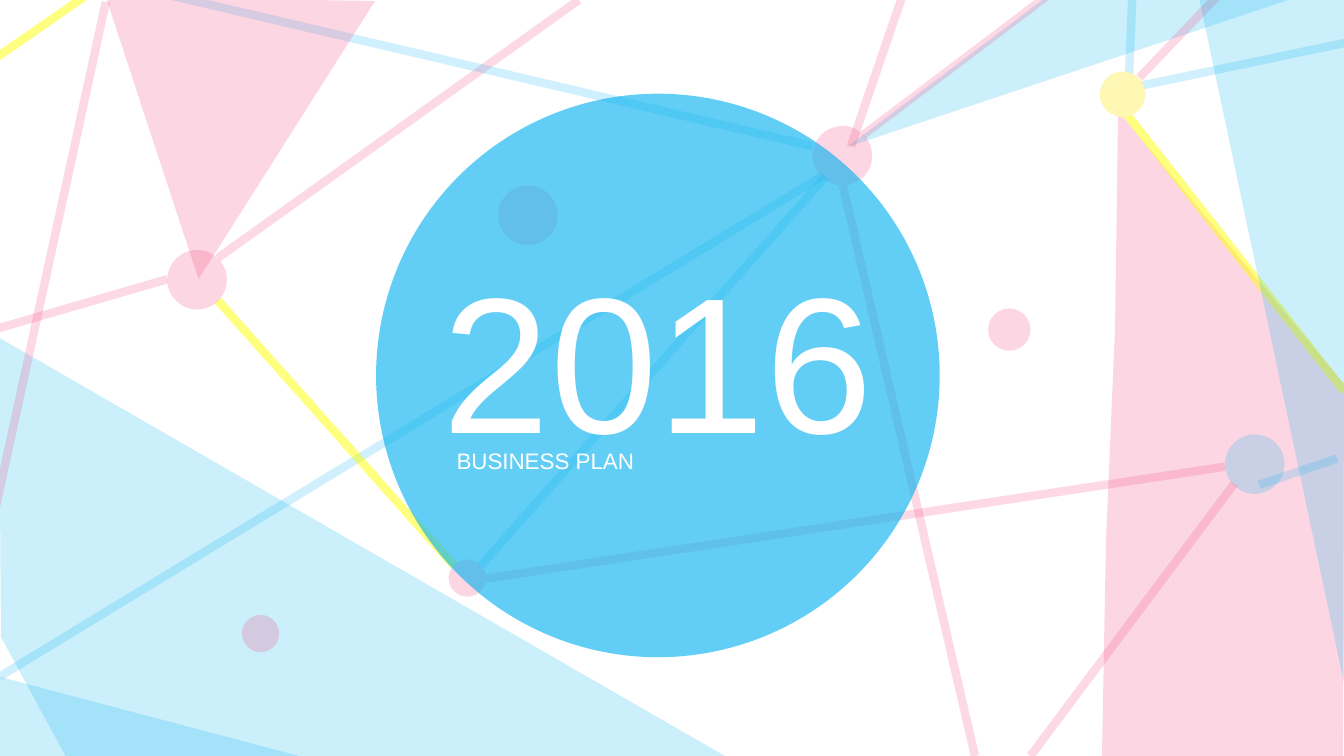
import collections

import lxml.etree
import pptx
import pptx.dml.color
import pptx.enum.shapes
import pptx.enum.text
import pptx.oxml.ns
import pptx.util

Inches = pptx.util.Inches
Box = collections.namedtuple("Box", "left top width height")

COLORS = {"pink": "F43A74", "blue": "00B0F0", "yellow": "FFFF00",
          "cream": "FFF8B4", "white": "FFFFFF"}
TINT = 20  # opacity of facets and nodes, percent
LINE_OPACITY = {"pink": 18, "blue": 18, "yellow": 50}
FONT = "Arial"

# Facets: colour and corner points
BACK_FACETS = [
    ("pink", [(10.93, 7.5), (10.97, 5.36), (11.06, 3.24), (11.09, 1.1),
              (13.33, 3.81), (13.32, 7.52)]),
    ("blue", [(12.99, -0.07), (8.4, 1.46), (10.46, -0.09)]),
    ("blue", [(0.01, 6.32), (-0.01, 3.35), (7.19, 7.5), (0.65, 7.5)]),
]
FRONT_FACETS = [
    ("pink", [(1.05, -0.03), (3.72, 0.01), (1.97, 2.77)]),
    ("blue", [(13.37, 6.96), (11.88, -0.08), (13.38, -0.04)]),
    ("blue", [(-0.01, 7.51), (-0.02, 6.71), (3.08, 7.53)]),
]

# Nodes: colour, left, top, diameter, opacity
BACK_NODES = [
    ("pink", 8.06, 1.25, 0.59, TINT),
    ("pink", 9.8, 3.06, 0.42, TINT),
    ("blue", 12.15, 4.31, 0.59, TINT),
    ("pink", 2.4, 6.1, 0.37, TINT),
    ("pink", 4.45, 5.55, 0.37, TINT),
    ("pink", 4.94, 1.84, 0.59, TINT),
]
FRONT_NODES = [
    ("pink", 1.66, 2.48, 0.59, TINT),
    ("cream", 10.91, 0.71, 0.45, 100),
]

# Links: colour, start x, start y, end x, end y
BACK_LINKS = [
    ("blue", 0, 6.71, 8.15, 1.75),
    ("pink", 2.16, 2.56, 5.74, 0),
    ("pink", -0.06, 3.27, 1.66, 2.77),
    ("pink", 1.05, 0.02, -0.17, 5.62),
    ("yellow", 2.16, 2.98, 4.5, 5.61),
    ("blue", 8.19, 1.75, 4.77, 5.61),
    ("blue", 1.2, -0.16, 8.06, 1.45),
    ("pink", 4.82, 5.74, 12.15, 4.63),
    ("pink", 9.67, 7.5, 8.36, 1.84),
    ("pink", 10.22, 7.5, 12.24, 4.8),
    ("yellow", 13.33, 3.88, 11.11, 1.05),
    ("pink", 8.56, 1.34, 10.53, -0.15),
    ("pink", 8.44, 1.45, 8.96, -0.07),
    ("yellow", 0.89, -0.07, -0.15, 0.65),
    ("blue", 11.24, -0.25, 11.19, 0.94),
    ("blue", 13.51, 0.39, 11.03, 0.91),
    ("pink", 12.19, -0.16, 11.3, 0.77),
]
FRONT_LINKS = [("blue", 13.26, 4.55, 12.49, 4.81)]


def rgb(name):
    return pptx.dml.color.RGBColor.from_string(COLORS[name])


def set_opacity(element, percent):
    """Add an alpha value to the solid colour inside the element."""
    color = element.find(".//" + pptx.oxml.ns.qn("a:srgbClr"))
    alpha = lxml.etree.SubElement(color, pptx.oxml.ns.qn("a:alpha"))
    alpha.set("val", str(percent * 1000))


def paint(shape, color, opacity):
    shape.shadow.inherit = False
    shape.fill.solid()
    shape.fill.fore_color.rgb = rgb(color)
    if opacity < 100:
        set_opacity(shape._element.spPr, opacity)
    shape.line.fill.background()


def add_facet(slide, box, color, points):
    corners = [(Inches(box.left + x), Inches(box.top + y)) for x, y in points]
    builder = slide.shapes.build_freeform(*corners[0])
    builder.add_line_segments(corners[1:], close=True)
    paint(builder.convert_to_shape(), color, TINT)


def add_disc(slide, box, color, left, top, diameter, opacity):
    disc = slide.shapes.add_shape(
        pptx.enum.shapes.MSO_SHAPE.OVAL, Inches(box.left + left),
        Inches(box.top + top), Inches(diameter), Inches(diameter))
    paint(disc, color, opacity)


def add_link(slide, box, color, x1, y1, x2, y2):
    link = slide.shapes.add_connector(
        pptx.enum.shapes.MSO_CONNECTOR.STRAIGHT,
        Inches(box.left + x1), Inches(box.top + y1),
        Inches(box.left + x2), Inches(box.top + y2))
    link.line.color.rgb = rgb(color)
    link.line.width = pptx.util.Pt(6)
    properties = link._element.spPr
    set_opacity(properties, LINE_OPACITY[color])
    lxml.etree.SubElement(properties, pptx.oxml.ns.qn("a:effectLst"))


def add_text(slide, box, text, size, alignment):
    text_box = slide.shapes.add_textbox(*(Inches(length) for length in box))
    frame = text_box.text_frame
    frame.word_wrap = True
    frame.auto_size = pptx.enum.text.MSO_AUTO_SIZE.SHAPE_TO_FIT_TEXT
    paragraph = frame.paragraphs[0]
    paragraph.text = text
    paragraph.alignment = alignment
    paragraph.font.name = FONT
    paragraph.font.size = pptx.util.Pt(size)
    paragraph.font.color.rgb = rgb("white")


def add_network(slide, box, facets, nodes, links):
    """Draw one layer of tinted facets, round nodes and links."""
    for facet in facets:
        add_facet(slide, box, *facet)
    for node in nodes:
        add_disc(slide, box, *node)
    for link in links:
        add_link(slide, box, *link)


def add_title_disc(slide, box):
    """Draw the large disc with the year and the subtitle."""
    add_disc(slide, box, "blue", 0, 0, box.width, 61)
    align = pptx.enum.text.PP_ALIGN
    add_text(slide, Box(box.left + 0.12, box.top + 1.4, 5.35, 2.42),
             "2016", 138, align.CENTER)
    add_text(slide, Box(box.left + 0.7, box.top + 3.46, 4.19, 0.37),
             "BUSINESS PLAN", 16, align.JUSTIFY)


def main():
    presentation = pptx.Presentation()
    page = Box(0, 0, 13.33, 7.5)
    presentation.slide_width = Inches(page.width)
    presentation.slide_height = Inches(page.height)
    slide = presentation.slides.add_slide(presentation.slide_layouts[6])

    # Network behind the title, title disc, then network in front
    add_network(slide, page, BACK_FACETS, BACK_NODES, BACK_LINKS)
    add_title_disc(slide, Box(3.73, 0.93, 5.59, 5.59))
    add_network(slide, page, FRONT_FACETS, FRONT_NODES, FRONT_LINKS)

    presentation.save("out.pptx")


if __name__ == "__main__":
    main()
